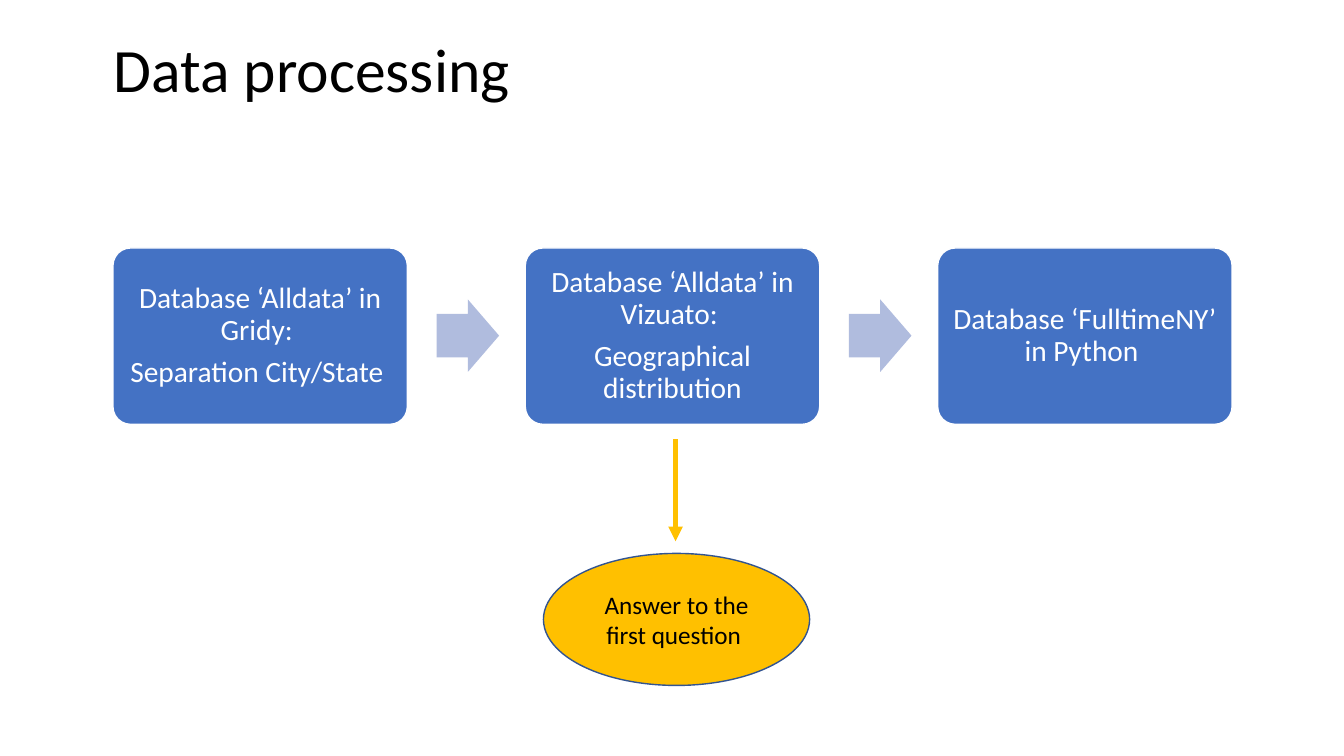
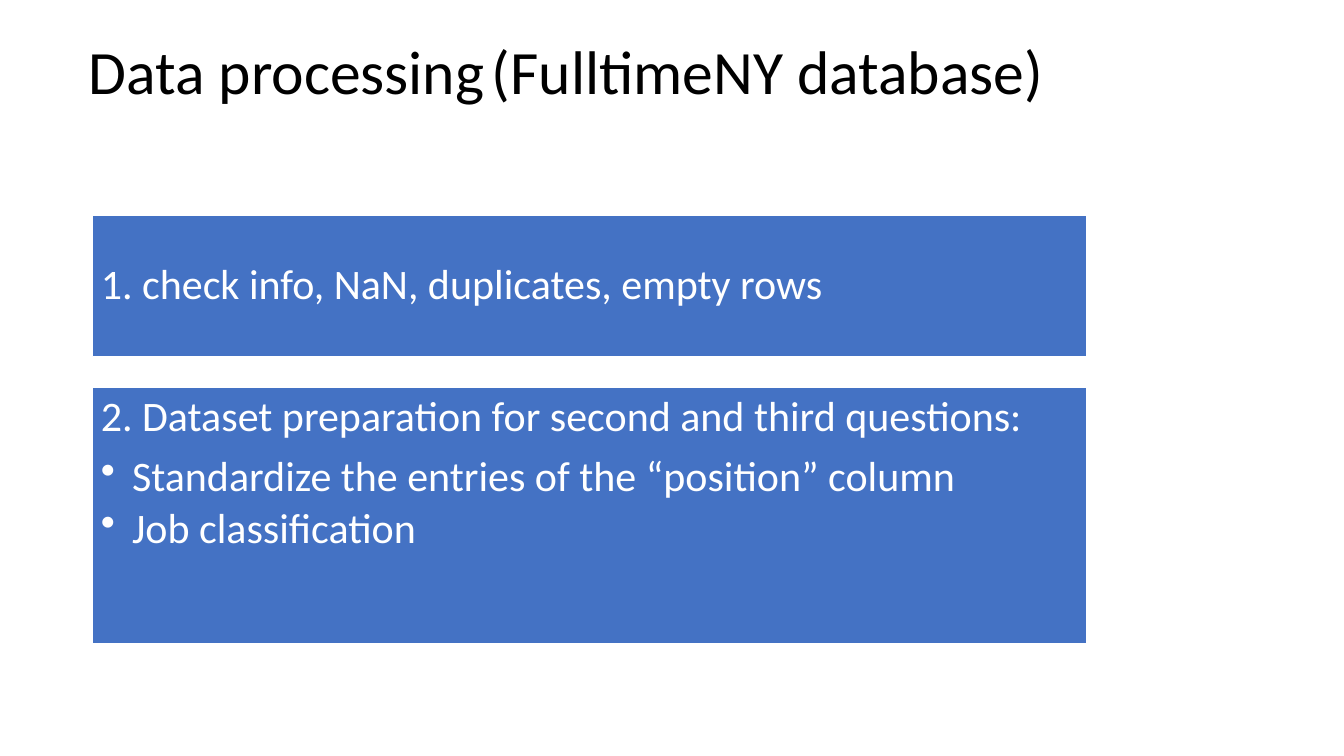
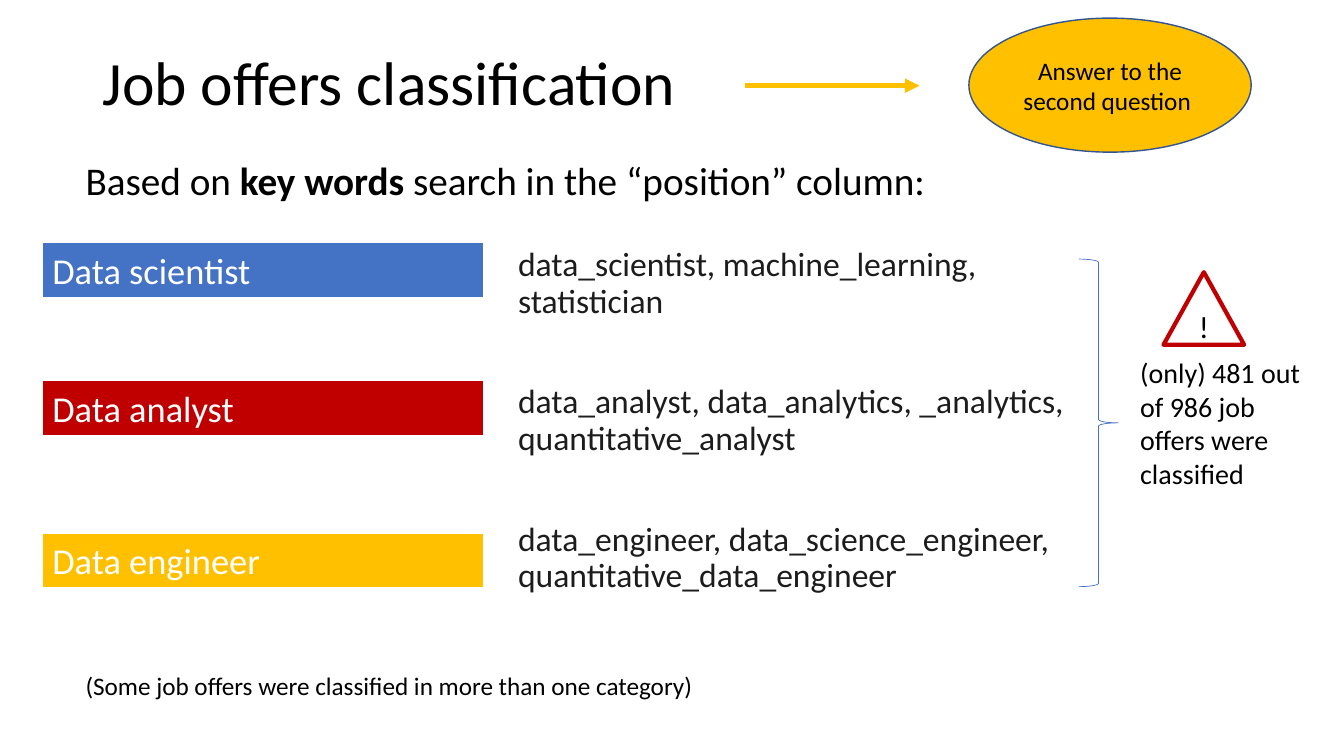
from lxml import etree
from pptx import Presentation
from pptx.dml.color import RGBColor
from pptx.enum.shapes import MSO_CONNECTOR, MSO_SHAPE
from pptx.enum.text import MSO_ANCHOR, PP_ALIGN
from pptx.oxml.ns import qn
from pptx.util import Pt

PX = 9144  # 100 px to the inch
FONT = "Calibri"
BLACK = RGBColor(0x00, 0x00, 0x00)
WHITE = RGBColor(0xFF, 0xFF, 0xFF)
INK = RGBColor(0x1D, 0x1C, 0x1D)
BLUE = RGBColor(0x44, 0x72, 0xC4)
PALE_BLUE = RGBColor(0xB0, 0xBC, 0xDE)
NAVY = RGBColor(0x32, 0x54, 0x91)
GOLD = RGBColor(0xFF, 0xC0, 0x00)
RED = RGBColor(0xC0, 0x00, 0x00)

RECT = MSO_SHAPE.RECTANGLE
ROUNDED = MSO_SHAPE.ROUNDED_RECTANGLE
ARROW = MSO_SHAPE.RIGHT_ARROW
OVAL = MSO_SHAPE.OVAL
BRACE = MSO_SHAPE.RIGHT_BRACE
TRIANGLE = MSO_SHAPE.ISOSCELES_TRIANGLE
STRAIGHT = MSO_CONNECTOR.STRAIGHT
TOP, MIDDLE = MSO_ANCHOR.TOP, MSO_ANCHOR.MIDDLE
LEFT, CENTER = PP_ALIGN.LEFT, PP_ALIGN.CENTER


def emu(*lengths):
    return [length * PX for length in lengths]


def write(shape, paragraphs, size, color, align=LEFT, anchor=TOP,
          spacing=1.0, after=0, inset=None):
    """Fill a shape with paragraphs; words between asterisks become bold."""
    frame = shape.text_frame
    frame.word_wrap = True
    frame.vertical_anchor = anchor
    if inset is not None:
        frame.margin_left = frame.margin_right = inset * PX
        frame.margin_top = frame.margin_bottom = inset * PX
    for index, text in enumerate(paragraphs):
        paragraph = frame.add_paragraph() if index else frame.paragraphs[0]
        paragraph.alignment = align
        paragraph.line_spacing = spacing
        paragraph.space_after = Pt(after)
        for part_index, part in enumerate(text.split("*")):
            run = paragraph.add_run()
            run.text = part
            run.font.name = FONT
            run.font.size = Pt(size)
            run.font.color.rgb = color
            run.font.bold = part_index % 2 == 1


def add_text(slide, box, text, size, color=BLACK, **style):
    write(slide.shapes.add_textbox(*emu(*box)), [text], size, color, **style)


def add_title(slide, box, text):
    add_text(slide, box, text, 44, anchor=MIDDLE, spacing=0.9)


def add_shape(slide, kind, box, fill=None, line=None, width=1, adjust=()):
    shape = slide.shapes.add_shape(kind, *emu(*box))
    shape.shadow.inherit = False
    if fill is None:
        shape.fill.background()
    else:
        shape.fill.solid()
        shape.fill.fore_color.rgb = fill
    if line is None:
        shape.line.fill.background()
    else:
        shape.line.color.rgb = line
        shape.line.width = Pt(width)
    for index, value in enumerate(adjust):
        shape.adjustments[index] = value
    return shape


def add_panel(slide, box, paragraphs, anchor):
    panel = add_shape(slide, RECT, box, BLUE, WHITE)
    write(panel, paragraphs, 30, WHITE, anchor=anchor, spacing=0.9,
          after=10.5, inset=8)
    return panel


def add_answer(slide, box, text):
    answer = add_shape(slide, OVAL, box, GOLD, NAVY)
    write(answer, [text], 18, BLACK, align=CENTER, anchor=MIDDLE)


def add_answer_arrow(slide, *ends):
    connector = slide.shapes.add_connector(STRAIGHT, *emu(*ends))
    connector.line.color.rgb = GOLD
    connector.line.width = Pt(3.5)
    properties = connector._element.spPr
    etree.SubElement(properties.find(qn("a:ln")), qn("a:tailEnd"), type="triangle")
    etree.SubElement(properties, qn("a:effectLst"))


def make_bullet(paragraph):
    paragraph.level = 1
    paragraph.space_after = Pt(4.5)
    properties = paragraph._p.get_or_add_pPr()
    properties.set("marL", str(31 * PX))
    properties.set("indent", str(-31 * PX))
    etree.SubElement(properties, qn("a:buChar"), char="•")


def build_process(slide):
    add_title(slide, (103, 25, 1150, 94), "Data processing")
    steps = [
        ["Database ‘Alldata’ in Gridy: ", "Separation City/State "],
        ["Database ‘Alldata’ in Vizuato: ", "Geographical distribution"],
        ["Database ‘FulltimeNY’ in Python "],
    ]
    pitch = 409
    for index, paragraphs in enumerate(steps):
        if index:
            add_shape(slide, ARROW, (433 + (index - 1) * pitch, 297, 62, 72),
                      PALE_BLUE, adjust=(0.6, 0.5))
        step = add_shape(slide, ROUNDED, (112 + index * pitch, 246, 292, 175),
                         BLUE, WHITE, adjust=(0.1,))
        write(step, paragraphs, 21, WHITE, align=CENTER, anchor=MIDDLE,
              spacing=0.9, after=7.35, inset=9)
    add_answer_arrow(slide, 670, 436, 670, 537)
    add_answer(slide, (539, 549, 264, 131), "Answer to the first question ")


def build_preparation(slide):
    add_title(slide, (78, 27, 1150, 94), "Data processing\t(FulltimeNY database)")
    add_panel(slide, (92, 214, 986, 140),
              ["1. check info, NaN, duplicates, empty rows"], MIDDLE)
    preparation = add_panel(slide, (92, 384, 986, 255), [
        "2. Dataset preparation for second and third questions:",
        "Standardize the entries of the “position” column",
        "Job classification",
    ], TOP)
    for paragraph in preparation.text_frame.paragraphs[1:]:
        make_bullet(paragraph)


def build_classification(slide):
    add_title(slide, (92, 12, 1150, 145), "Job offers classification")
    add_text(slide, (75, 155, 1150, 68),
             "Based on *key words *search in the “position” column:", 28, spacing=0.9)
    categories = [
        ("Data scientist", BLUE, 241, "data_scientist, machine_learning, statistician"),
        ("Data analyst", RED, 378,
         "data_analyst, data_analytics, _analytics, quantitative_analyst"),
        ("Data engineer", GOLD, 529,
         "data_engineer, data_science_engineer, quantitative_data_engineer"),
    ]
    for index, (name, color, top, keywords) in enumerate(categories):
        label = add_shape(slide, RECT, (42, top, 438, 54), color, WHITE, 0.75)
        write(label, [name], 26, WHITE)
        add_text(slide, (504, 241 + index * 136, 616, 84), keywords, 24, INK,
                 spacing=0.9)
    add_answer_arrow(slide, 739, 85, 912, 85)
    add_answer(slide, (961, 18, 280, 133), "Answer to the second question ")
    add_text(slide, (75, 660, 630, 71),
             "(Some job offers were classified in more than one category)", 18)
    add_shape(slide, BRACE, (1070, 257, 39, 325), line=BLUE, width=0.5)
    add_text(slide, (1121, 348, 179, 145),
             "(only) 481 out of 986 job offers were classified", 20)
    warning = add_shape(slide, TRIANGLE, (1154, 270, 80, 72), line=RED, width=3)
    write(warning, ["!"], 22, BLACK, align=CENTER, anchor=MIDDLE)


def main():
    deck = Presentation()
    deck.slide_width, deck.slide_height = emu(1333, 750)
    blank = deck.slide_layouts[6]
    for build in (build_process, build_preparation, build_classification):
        build(deck.slides.add_slide(blank))
    deck.save("out.pptx")


if __name__ == "__main__":
    main()
